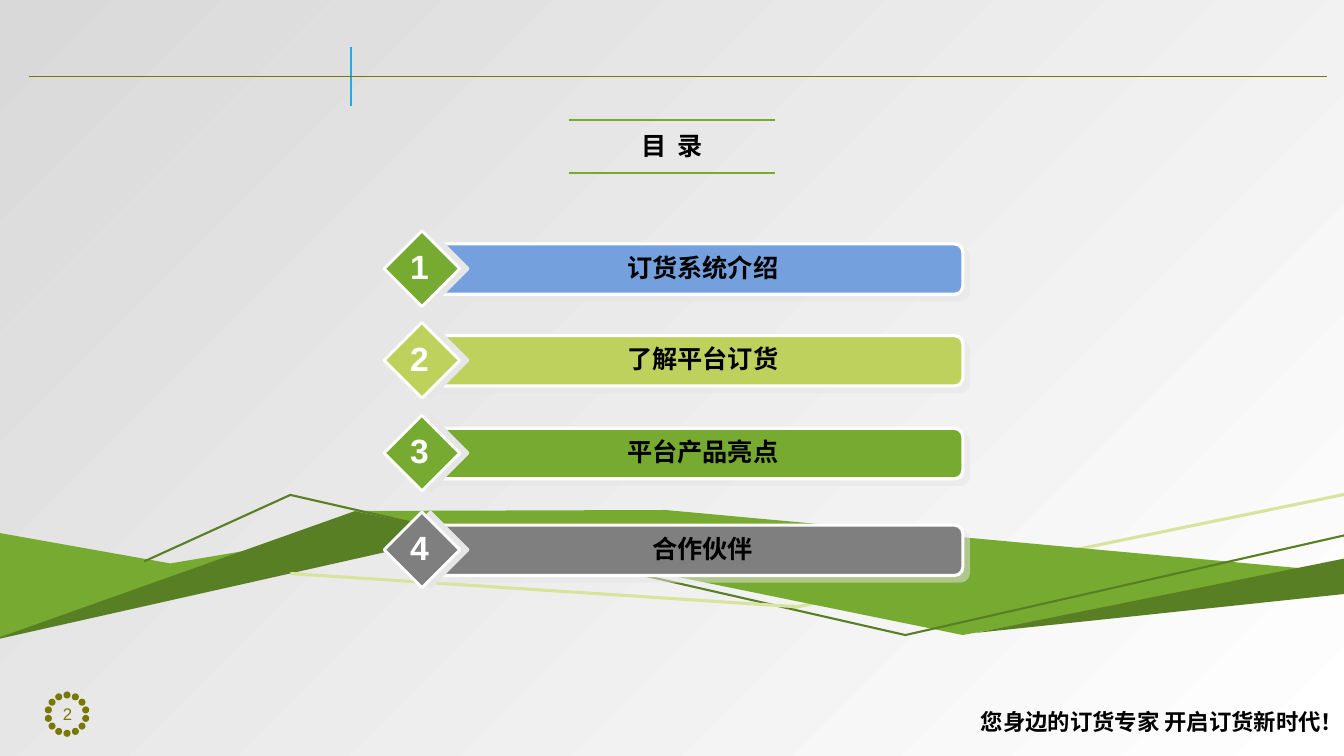
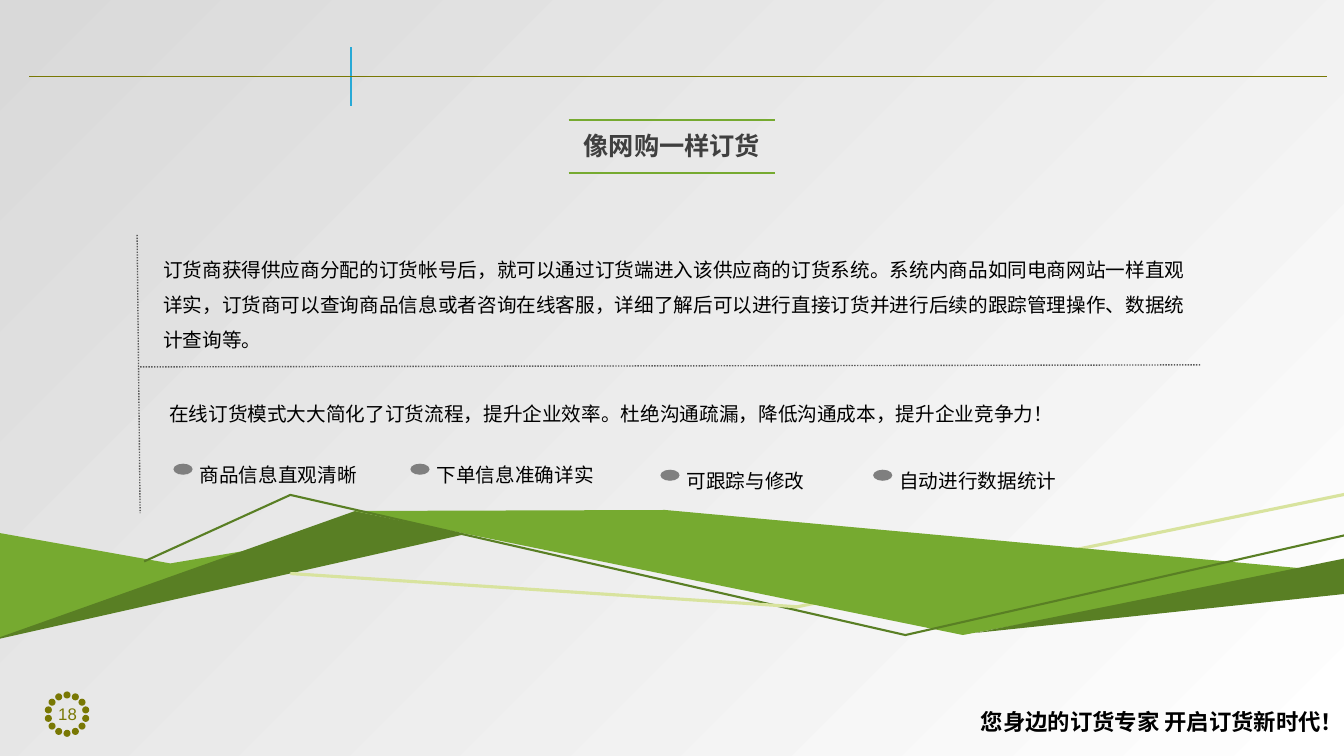
import math
import pptx
import pptx.dml.color
import pptx.enum.dml
import pptx.enum.shapes
import pptx.enum.text
import pptx.oxml.ns
import pptx.util
from lxml import etree

Inches = pptx.util.Inches
Pt = pptx.util.Pt
KIND = pptx.enum.shapes.MSO_SHAPE
ALIGN = pptx.enum.text.PP_ALIGN
ANCHOR = pptx.enum.text.MSO_ANCHOR
DOTS = pptx.enum.dml.MSO_LINE.ROUND_DOT
qn = pptx.oxml.ns.qn

GREEN, DARK, PALE, LIME = "76AA30", "597F24", "D8E39E", "BED15D"
OLIVE, BLUE, SKY = "797804", "28A9D6", "74A1DE"
GREY, SLATE, SHADE = "7F7F7F", "595959", "E7E6E6"
WHITE, BLACK = "FFFFFF", "000000"
NOTO, CABIN, ARIAL = "Noto Sans CJK JP", "Cabin", "Arial"
WIDE, HIGH = 13.33, 7.5

HILLS = [
    (PALE, 2.25, [(7.86, 6.03), (13.36, 4.9)]),
    (GREEN, 0, [(-0.05, 5.28), (1.69, 5.59), (2.58, 5.44), (-0.05, 6.35)]),
    (DARK, 0, [(-0.11, 6.36), (4.61, 5.3), (3.52, 5.07)]),
    (GREEN, 0, [(3.51, 5.07), (9.55, 6.3), (13.03, 5.65), (6.6, 5.06)]),
    (DARK, 0, [(9.67, 6.28), (13.36, 5.89), (13.34, 5.54)]),
    (DARK, 1.5, [(1.43, 5.57), (2.88, 4.91), (8.98, 6.3), (13.34, 5.31)]),
    (PALE, 2.25, [(2.88, 5.69), (7.91, 6.02)]),
]


def color(code):
    return pptx.dml.color.RGBColor.from_string(code)


def paint(shape, fill=None, line=None, width=1):
    shape.shadow.inherit = False
    if fill:
        shape.fill.solid()
        shape.fill.fore_color.rgb = color(fill)
    else:
        shape.fill.background()
    if line:
        shape.line.color.rgb = color(line)
        shape.line.width = Pt(width)
    else:
        shape.line.fill.background()


def block(shapes, kind, box, fill, line=None, width=1):
    shape = shapes.add_shape(kind, *map(Inches, box))
    paint(shape, fill, line, width)
    return shape


def shadow(shape, alpha, dist, angle):
    effects = shape._element.spPr.find(qn("a:effectLst"))
    outer = etree.SubElement(
        effects, qn("a:outerShdw"), blurRad="0", dist=str(int(Pt(dist))),
        dir=str(angle * 60000), algn="ctr", rotWithShape="0")
    tint = etree.SubElement(outer, qn("a:srgbClr"), val=SHADE)
    etree.SubElement(tint, qn("a:alpha"), val=str(alpha * 1000))


def rule(slide, start, end, code, width, dash=None):
    line = slide.shapes.add_connector(
        pptx.enum.shapes.MSO_CONNECTOR.STRAIGHT, *map(Inches, (*start, *end)))
    line.line.color.rgb = color(code)
    line.line.width = Pt(width)
    if dash:
        line.line.dash_style = dash
    etree.SubElement(line._element.spPr, qn("a:effectLst"))


def write(shapes, box, text, size, face=CABIN, code=BLACK, bold=False,
          align=ALIGN.LEFT, space=None, inset=True, wrap=True, track=0):
    label = shapes.add_textbox(*map(Inches, box))
    frame = label.text_frame
    frame.word_wrap = wrap
    if not inset:
        frame.margin_left = frame.margin_right = 0
        frame.margin_top = frame.margin_bottom = 0
    frame.text = text
    para = frame.paragraphs[0]
    para.alignment = align
    if space:
        para.line_spacing = space
    run = para.runs[0]
    run.font.name = face
    run.font.size = Pt(size)
    run.font.bold = bold
    run.font.color.rgb = color(code)
    props = run.font._element
    etree.SubElement(props, qn("a:ea"), typeface=face)
    if track:
        props.set("spc", str(track * 100))
    return label


def scene(slide):
    back = block(slide.shapes, KIND.RECTANGLE, (0, 0, WIDE, HIGH), WHITE)
    back.fill.gradient()
    back.fill.gradient_angle = 135
    for stop, code in zip(back.fill.gradient_stops, (WHITE, "D9D9D9")):
        stop.color.rgb = color(code)
    group = slide.shapes.add_group_shape()
    for code, width, points in HILLS:
        first, *rest = [tuple(map(Inches, point)) for point in points]
        path = group.shapes.build_freeform(*first)
        path.add_line_segments(rest, close=not width)
        hill = path.convert_to_shape()
        if width:
            paint(hill, line=code, width=width)
        else:
            paint(hill, code)


def badge(slide, left, top, side, number):
    dot, count = 0.07, 14
    mid, radius = side / 2, (side - dot) / 2
    group = slide.shapes.add_group_shape()
    for step in range(count):
        turn = 2 * math.pi * step / count
        x = left + mid + radius * math.sin(turn) - dot / 2
        y = top + mid - radius * math.cos(turn) - dot / 2
        block(group.shapes, KIND.OVAL, (x, y, dot, dot), OLIVE)
    label = write(slide.shapes, (left + 0.07, top + 0.07, 0.32, 0.31), number,
                  12, ARIAL, OLIVE, align=ALIGN.CENTER, inset=False)
    label.text_frame.vertical_anchor = ANCHOR.MIDDLE


def title(slide, left, top, width, text, face, code, track=0):
    for y in (top + 0.53, top):
        rule(slide, (left, y), (left + width, y), GREEN, 1.5)
    write(slide.shapes, (left - 0.43, top + 0.05, width + 0.86, 0.4), text, 18,
          face, code, True, ALIGN.CENTER, track=track)


def page(deck, number, text, face, code, track=0):
    slide = deck.slides.add_slide(deck.slide_layouts[6])
    scene(slide)
    rule(slide, (3.48, 0.47), (3.48, 1.05), BLUE, 1)
    rule(slide, (0.29, 0.76), (13.16, 0.76), OLIVE, 1.25)
    title(slide, 5.64, 1.19, 2.05, text, face, code, track)
    badge(slide, 0.44, 6.86, 0.45, number)
    write(slide.shapes, (9.63, 6.98, 4.04, 0.37),
          "您身边的订货专家 开启订货新时代！", 16, NOTO, bold=True)
    return slide


def entry(slide, left, top, number, text, bar, gem):
    shapes = slide.shapes
    strip = block(shapes, KIND.ROUNDED_RECTANGLE,
                  (left + 0.33, top + 0.13, 5.41, 0.5), bar, WHITE, 2.25)
    shadow(strip, 50, 5.7, 45)
    stone = block(shapes, KIND.DIAMOND, (left, top, 0.75, 0.75), gem, WHITE, 2)
    shadow(stone, 100, 6, 0)
    write(shapes, (left + 0.91, top + 0.16, 4.5, 0.4), text, 18, bold=True,
          align=ALIGN.CENTER)
    write(shapes, (left + 0.16, top + 0.1, 0.38, 0.5), number, 24, ARIAL,
          WHITE, True, ALIGN.CENTER, wrap=False)


def point(slide, left, top, text):
    group = slide.shapes.add_group_shape()
    block(group.shapes, KIND.OVAL, (left, top + 0.12, 0.19, 0.11), GREY)
    write(group.shapes, (left + 0.26, top, 2.1, 0.37), text, 14, space=1.5,
          inset=False)


def agenda(deck):
    slide = page(deck, "2", "目 录", NOTO, BLACK, 2)
    rows = [
        (2.29, "订货系统介绍", SKY, GREEN),
        (3.2, "了解平台订货", LIME, LIME),
        (4.12, "平台产品亮点", GREEN, GREEN),
        (5.08, "合作伙伴", GREY, GREY),
    ]
    for index, (top, text, bar, gem) in enumerate(rows, 1):
        entry(slide, 3.81, top, str(index), text, bar, gem)


def detail(deck):
    slide = page(deck, "18", "像网购一样订货", CABIN, "3F3F3F")
    rule(slide, (1.36, 2.33), (1.39, 5.09), SLATE, 1, DOTS)
    rule(slide, (1.39, 3.64), (11.91, 3.62), SLATE, 1, DOTS)
    write(slide.shapes, (1.52, 2.39, 10.44, 1.15),
          "订货商获得供应商分配的订货帐号后，就可以通过订货端进入该供应商的订货系统。"
          "系统内商品如同电商网站一样直观详实，订货商可以查询商品信息或者咨询在线客服，"
          "详细了解后可以进行直接订货并进行后续的跟踪管理操作、数据统计查询等。",
          14, space=1.5)
    write(slide.shapes, (1.58, 3.82, 10.23, 0.45),
          "在线订货模式大大简化了订货流程，提升企业效率。"
          "杜绝沟通疏漏，降低沟通成本，提升企业竞争力！", 14, space=1.5)
    for left, top, text in [
        (1.72, 4.48, "商品信息直观清晰"),
        (4.07, 4.48, "下单信息准确详实"),
        (6.55, 4.54, "可跟踪与修改"),
        (8.66, 4.54, "自动进行数据统计"),
    ]:
        point(slide, left, top, text)


def main():
    deck = pptx.Presentation()
    deck.slide_width = Inches(WIDE)
    deck.slide_height = Inches(HIGH)
    agenda(deck)
    detail(deck)
    deck.save("out.pptx")


if __name__ == "__main__":
    main()
